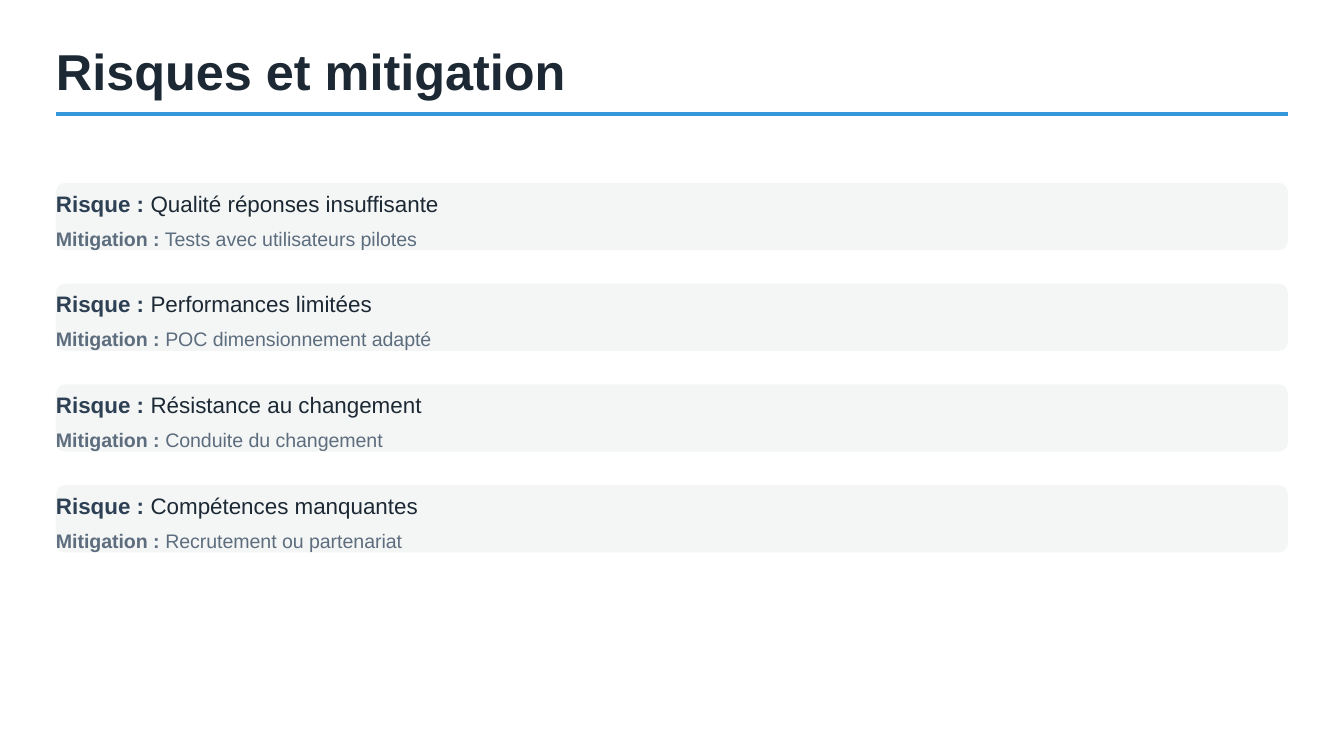
from lxml import etree
from pptx import Presentation
from pptx.dml.color import RGBColor
from pptx.enum.shapes import MSO_CONNECTOR, MSO_SHAPE
from pptx.enum.text import MSO_ANCHOR, MSO_AUTO_SIZE, PP_ALIGN
from pptx.oxml.ns import qn
from pptx.util import Pt

FONT = "Arial"
INK = "1C2833"
NAVY = "2E4053"
SLATE = "5D6D7E"
BLUE = "3498DB"
CARD_GREY = "F4F6F6"

RISKS = [
    ("Qualité réponses insuffisante", "Tests avec utilisateurs pilotes"),
    ("Performances limitées", "POC dimensionnement adapté"),
    ("Résistance au changement", "Conduite du changement"),
    ("Compétences manquantes", "Recrutement ou partenariat"),
]


def color(hex_value):
    return RGBColor.from_string(hex_value)


def place(shape, left, top, width, height):
    shape.left, shape.top = Pt(left), Pt(top)
    shape.width, shape.height = Pt(width), Pt(height)


def write_line(shape, runs, size, line_height, space_before=0):
    """Fill the shape with one paragraph of (text, colour, bold) runs."""
    frame = shape.text_frame
    frame.word_wrap = True
    frame.auto_size = MSO_AUTO_SIZE.NONE
    frame.vertical_anchor = MSO_ANCHOR.TOP
    frame.margin_left = frame.margin_right = 0
    frame.margin_top = frame.margin_bottom = 0
    paragraph = frame.paragraphs[0]
    paragraph.alignment = PP_ALIGN.LEFT
    paragraph.line_spacing = Pt(line_height)
    paragraph.space_before = Pt(space_before)
    for text, hex_value, bold in runs:
        run = paragraph.add_run()
        run.text = text
        run.font.name = FONT
        run.font.size = Pt(size)
        run.font.bold = bold
        run.font.color.rgb = color(hex_value)


def add_header(slide, left, top, width):
    title = slide.shapes.title
    place(title, left, top, 338, 30)
    write_line(title, [("Risques et mitigation", INK, True)], 27, 30)

    rule_top = top + 37.1
    rule = slide.shapes.add_connector(
        MSO_CONNECTOR.STRAIGHT,
        Pt(left), Pt(rule_top), Pt(left + width), Pt(rule_top))
    rule.line.color.rgb = color(BLUE)
    rule.line.width = Pt(2.25)
    etree.SubElement(rule._element.spPr, qn("a:effectLst"))


def add_risk_card(slide, left, top, width, height, risk, mitigation):
    card = slide.shapes.add_shape(
        MSO_SHAPE.ROUNDED_RECTANGLE, Pt(left), Pt(top), Pt(width), Pt(height))
    card.adjustments[0] = 0.133
    card.shadow.inherit = False
    card.fill.solid()
    card.fill.fore_color.rgb = color(CARD_GREY)
    card.line.fill.background()

    text_width = width + 13.2
    risk_box = slide.shapes.add_textbox(
        Pt(left), Pt(top), Pt(text_width), Pt(18))
    write_line(
        risk_box,
        [("Risque :", NAVY, True), (f" {risk}", INK, False)], 12, 18)

    mitigation_box = slide.shapes.add_textbox(
        Pt(left), Pt(top + 21), Pt(text_width), Pt(15))
    write_line(
        mitigation_box,
        [("Mitigation :", SLATE, True), (f" {mitigation}", SLATE, False)],
        10.5, 15, space_before=3)


def add_risk_list(slide, left, top, width, card_height=36, gap=18):
    for index, (risk, mitigation) in enumerate(RISKS):
        card_top = top + index * (card_height + gap)
        add_risk_card(
            slide, left, card_top, width, card_height, risk, mitigation)


def main():
    presentation = Presentation()
    presentation.slide_width = Pt(720)
    presentation.slide_height = Pt(405)
    slide = presentation.slides.add_slide(presentation.slide_layouts[5])
    slide.background.fill.solid()
    slide.background.fill.fore_color.rgb = color("FFFFFF")
    add_header(slide, 30, 24, 660)
    add_risk_list(slide, 30, 98, 660)
    presentation.save("out.pptx")


if __name__ == "__main__":
    main()
